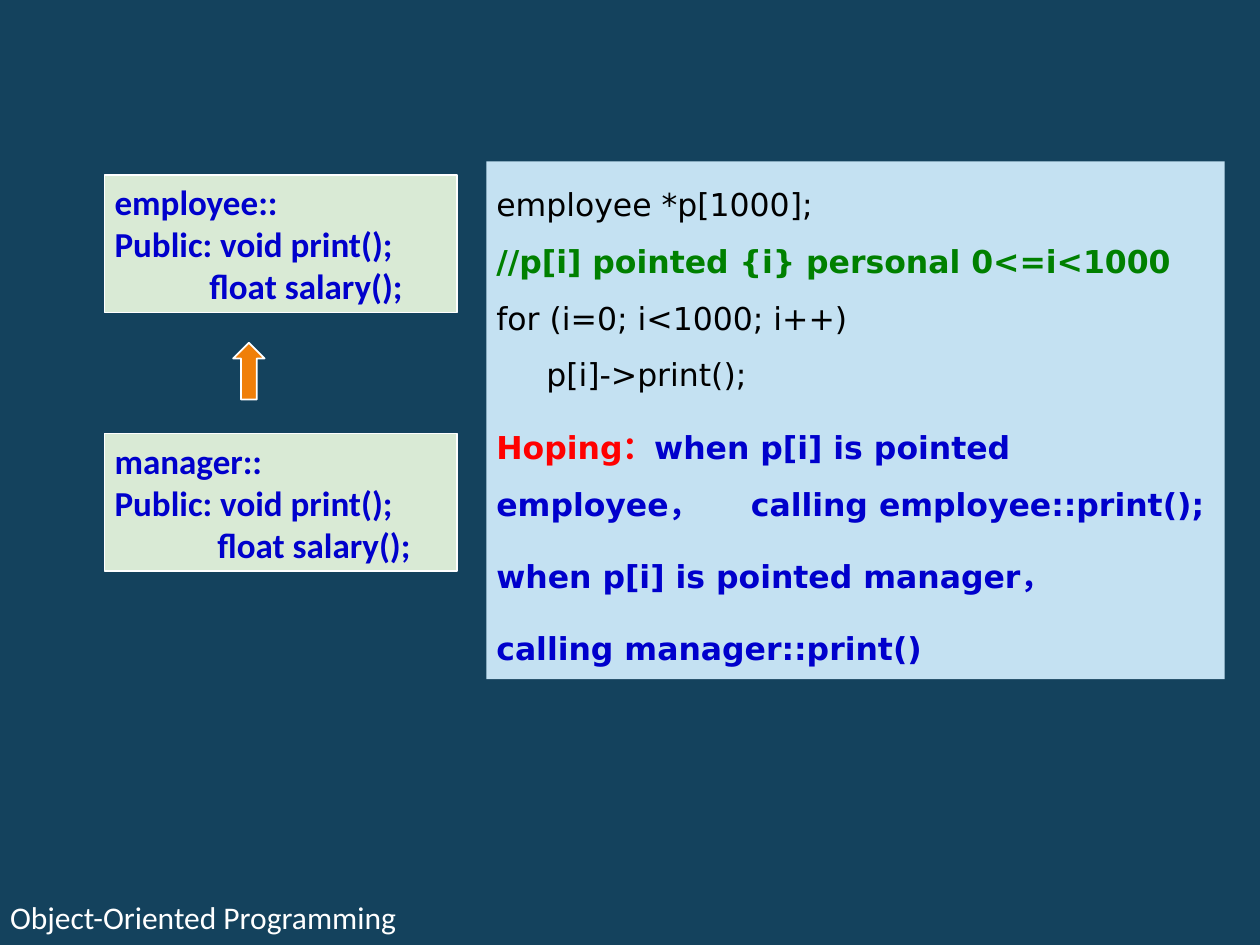
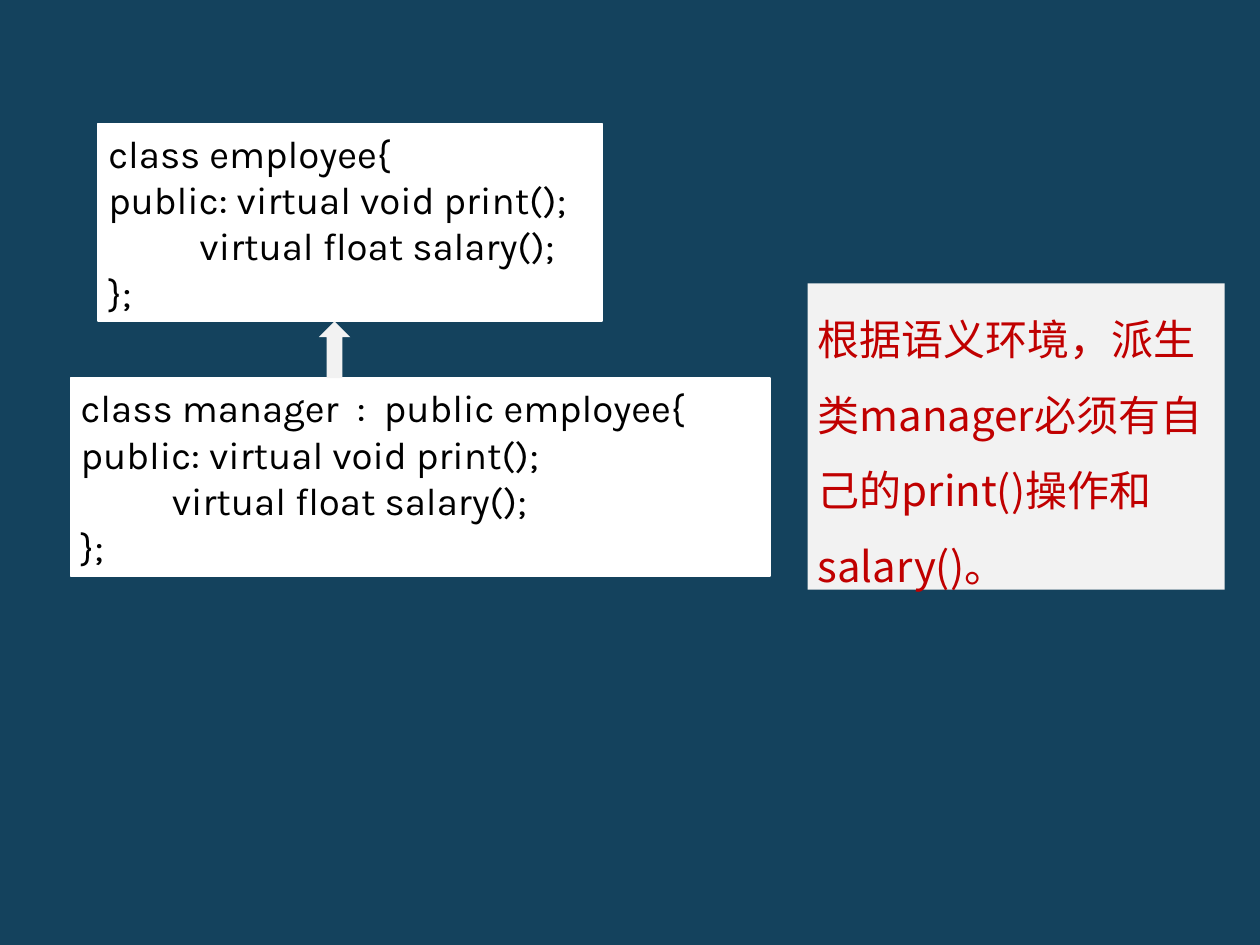
from lxml import etree
from pptx import Presentation
from pptx.dml.color import RGBColor
from pptx.enum.shapes import MSO_SHAPE
from pptx.enum.text import MSO_ANCHOR, PP_ALIGN
from pptx.oxml.ns import qn
from pptx.util import Inches, Pt

RECT, ARROW = MSO_SHAPE.RECTANGLE, MSO_SHAPE.UP_ARROW
TOP, MIDDLE, LEFT = MSO_ANCHOR.TOP, MSO_ANCHOR.MIDDLE, PP_ALIGN.LEFT

HUES = {
    "back": "14425D", "white": "FFFFFF", "black": "000000",
    "mint": "D9EAD5", "sky": "C4E1F2", "pale": "F2F2F2",
    "orange": "F07F09", "blue": "0000CC", "green": "008000",
    "red": "FF0000", "crimson": "C00000",
}

WIDE, HIGH = 10, 7.5
EDGE = 9.72           # right edge of the text panels
ARROW_SIZE = (0.25, 0.45)
TAB = 2.02            # where the second half of the hope starts

FOOTER = "Object-Oriented Programming"

# Each line is a list of runs: (text, colour, bold)
BASE = ["employee::", "Public: void print();", "            float salary();"]
CHILD = ["manager::", "Public: void print();", "             float salary();"]
LOOP = [
    [("employee *p[1000];", "black", False)],
    [("//p[i] pointed {i} personal 0<=i<1000", "green", True)],
    [("for (i=0; i<1000; i++)", "black", False)],
    [("     p[i]->print();", "black", False)],
]
HOPE = [
    [("Hoping：", "red", True),
     ("when p[i] is pointed employee，\tcalling employee::print();",
      "blue", True)],
    [("when p[i] is pointed manager，", "blue", True)],
    [("calling manager::print()", "blue", True)],
]
BODY = ["public: virtual void print();",
        "          virtual float salary();", "};"]
RULE = "根据语义环境，派生类manager必须有自己的print()操作和salary()。"


def hue(name):
    return RGBColor.from_string(HUES[name])


def write(shape, lines, font, size, color="black", bold=False,
          anchor=MIDDLE, space=1, gap_from=None, tab=None):
    """Fill a shape with lines; those from gap_from on get half a line before."""
    frame = shape.text_frame
    frame.word_wrap = True
    frame.vertical_anchor = anchor
    frame.margin_left = frame.margin_right = Inches(0.08)
    frame.margin_top = frame.margin_bottom = Inches(0.04)
    for i, line in enumerate(lines):
        para = frame.paragraphs[0] if i == 0 else frame.add_paragraph()
        para.alignment, para.line_spacing = LEFT, space
        if gap_from is not None and i >= gap_from:
            para.space_before = Pt(size / 2)
        runs = [(line, color, bold)] if isinstance(line, str) else line
        if tab and any("\t" in run[0] for run in runs):
            stops = etree.SubElement(para._p.get_or_add_pPr(), qn("a:tabLst"))
            etree.SubElement(stops, qn("a:tab"), pos=str(Inches(tab)), algn="l")
        for text, tint, heavy in runs:
            run = para.add_run()
            run.text = text
            face = run.font
            face.name, face.size, face.bold = font, Pt(size), heavy
            face.color.rgb = hue(tint)
            etree.SubElement(run._r.get_or_add_rPr(), qn("a:ea"), typeface=font)


def draw(slide, kind, left, top, width, height, fill, line=None):
    shape = slide.shapes.add_shape(
        kind, *(Inches(n) for n in (left, top, width, height)))
    shape.shadow.inherit = False
    shape.fill.solid()
    shape.fill.fore_color.rgb = hue(fill)
    if line:
        shape.line.color.rgb = hue(line)
        shape.line.width = Pt(1)
    else:
        shape.line.fill.background()
    return shape


def panel(slide, left, top, height, fill):
    return draw(slide, RECT, left, top, EDGE - left, height, fill)


def calls(deck):
    slide = deck.slides.add_slide(deck.slide_layouts[6])
    foot = slide.shapes.add_textbox(
        0, Inches(HIGH - 0.42), Inches(0.4 * WIDE), Inches(0.4))
    write(foot, [FOOTER], "Calibri", 18, "white")
    for top, lines in ((1.39, BASE), (3.44, CHILD)):
        card = draw(slide, RECT, 0.83, top, 2.8, 1.09, "mint", "white")
        write(card, lines, "Calibri", 20, "blue", bold=True)
    draw(slide, ARROW, 1.85, 2.72, *ARROW_SIZE, "orange", "white")
    write(panel(slide, 3.86, 1.28, 4.11, "sky"), LOOP + HOPE, "DejaVu Sans", 18,
          anchor=TOP, space=1.5, gap_from=len(LOOP), tab=TAB)


def virtuals(deck):
    slide = deck.slides.add_slide(deck.slide_layouts[6])
    tall = 1.57
    top = 0.98
    for left, width, head in ((0.78, 4, "class employee{"),
                              (0.56, 5.55, "class manager  :  public employee{")):
        card = draw(slide, RECT, left, top, width, tall, "white", "white")
        write(card, [head] + BODY, "Karla", 22)
        top += tall + ARROW_SIZE[1]
    draw(slide, ARROW, 2.53, 0.98 + tall, *ARROW_SIZE, "pale")
    write(panel(slide, 6.41, 2.25, 2.43, "pale"), [RULE], "Noto Sans CJK SC", 24,
          "crimson", anchor=TOP, space=1.5)


def main():
    deck = Presentation()
    deck.slide_width, deck.slide_height = Inches(WIDE), Inches(HIGH)
    back = deck.slide_master.background.fill
    back.solid()
    back.fore_color.rgb = hue("back")
    calls(deck)
    virtuals(deck)
    deck.save("out.pptx")


if __name__ == "__main__":
    main()
